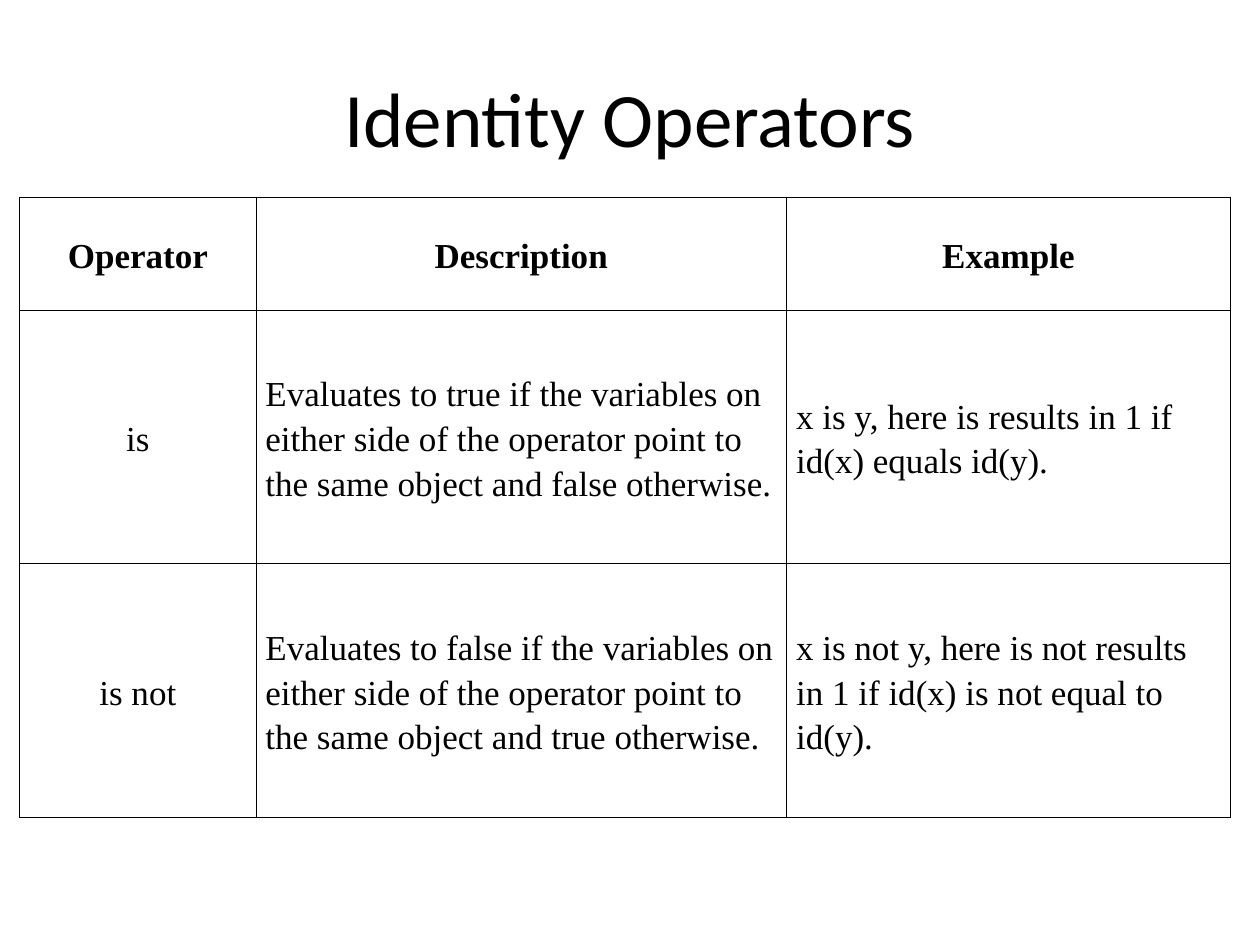
"""Build the slide on Python's identity operators."""
from lxml import etree
from pptx import Presentation
from pptx.dml.color import RGBColor
from pptx.enum.text import MSO_ANCHOR, PP_ALIGN
from pptx.oxml.ns import qn
from pptx.util import Cm, Pt

CENTER, LEFT = PP_ALIGN.CENTER, PP_ALIGN.LEFT
MIDDLE = MSO_ANCHOR.MIDDLE
TITLE_ONLY = 5

ROWS = [
    ("Operator", "Description", "Example"),
    ("is",
     "Evaluates to true if the variables on either side of the operator "
     "point to the same object and false otherwise.",
     "x is y, here is results in 1 if id(x) equals id(y)."),
    ("is not",
     "Evaluates to false if the variables on either side of the operator "
     "point to the same object and true otherwise.",
     "x is not y, here is not results in 1 if id(x) is not equal to id(y)."),
]


def rgb(value):
    return RGBColor.from_string(value)


class Deck:
    ink = "000000"
    title_font, table_font = "Calibri", "Times New Roman"
    border = Pt(0.45)

    def __init__(self, width, height):
        self.prs = Presentation()
        self.prs.slide_width, self.prs.slide_height = Cm(width), Cm(height)
        self.s = self.prs.slides.add_slide(self.prs.slide_layouts[TITLE_ONLY])

    def style(self, p, font, size, align, bold=False):
        p.alignment = align
        p.font.name, p.font.size, p.font.bold = font, Pt(size), bold
        p.font.color.rgb = rgb(self.ink)

    def title(self, text, *box):
        sp = self.s.shapes.title
        sp.left, sp.top, sp.width, sp.height = map(Cm, box)
        tf = sp.text_frame
        tf.text, tf.vertical_anchor = text, MIDDLE
        self.style(tf.paragraphs[0], self.title_font, 44, CENTER)

    def borders(self, cell):
        tc_pr = cell._tc.get_or_add_tcPr()
        for side in ("a:lnL", "a:lnR", "a:lnT", "a:lnB"):
            ln = etree.SubElement(tc_pr, qn(side), w=str(self.border))
            fill = etree.SubElement(ln, qn("a:solidFill"))
            etree.SubElement(fill, qn("a:srgbClr"), val=self.ink)

    def cell(self, cell, text, align, bold):
        self.borders(cell)
        cell.fill.background()
        cell.text, cell.vertical_anchor = text, MIDDLE
        cell.margin_left = cell.margin_right = Cm(0.19)
        cell.margin_top = cell.margin_bottom = Cm(0.13)
        p = cell.text_frame.paragraphs[0]
        p.line_spacing = 1.15
        self.style(p, self.table_font, 20, align, bold)

    def table(self, rows, left, top, widths, heights):
        frame = self.s.shapes.add_table(
            len(rows), len(widths), Cm(left), Cm(top),
            Cm(sum(widths)), Cm(sum(heights)))
        tbl = frame.table
        tbl.horz_banding = False
        for col, width in zip(tbl.columns, widths):
            col.width = Cm(width)
        for i, (row, height) in enumerate(zip(tbl.rows, heights)):
            row.height = Cm(height)
            for j, text in enumerate(rows[i]):
                align = CENTER if i == 0 or j == 0 else LEFT
                self.cell(row.cells[j], text, align, i == 0)


def main():
    deck = Deck(25.4, 19.05)
    deck.title("Identity Operators", 1.27, 0.76, 22.86, 3.18)
    deck.table(ROWS, 0.4, 3.97, (4.76, 10.7, 8.94), (2.28, 5.11, 5.11))
    deck.prs.save("out.pptx")


if __name__ == "__main__":
    main()
